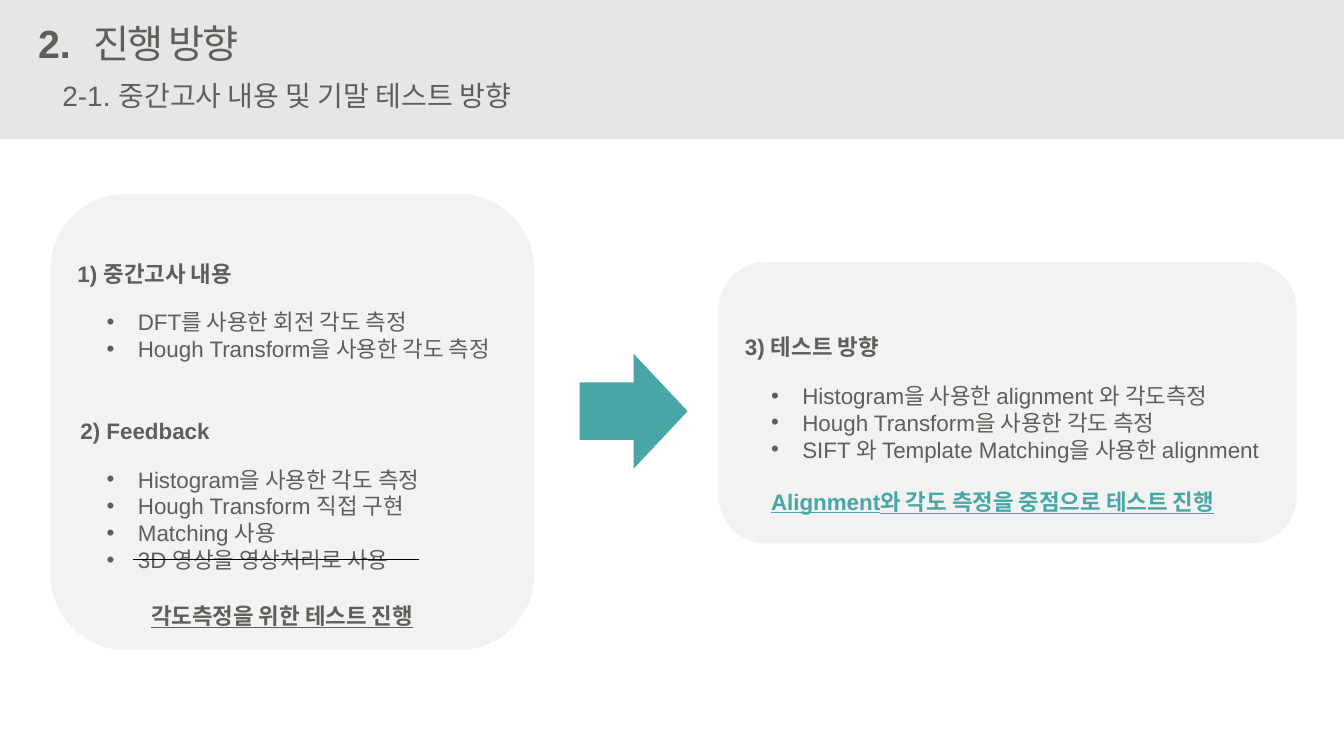
from dataclasses import dataclass

from lxml import etree
from pptx import Presentation
from pptx.dml.color import RGBColor
from pptx.enum.shapes import MSO_CONNECTOR, MSO_SHAPE
from pptx.enum.text import MSO_AUTO_SIZE, PP_ALIGN
from pptx.oxml.ns import qn
from pptx.util import Inches, Pt

RECT = MSO_SHAPE.RECTANGLE
ROUNDED = MSO_SHAPE.ROUNDED_RECTANGLE
ARROW = MSO_SHAPE.RIGHT_ARROW
STRAIGHT = MSO_CONNECTOR.STRAIGHT
LEFT, RIGHT = PP_ALIGN.LEFT, PP_ALIGN.RIGHT
GROW = MSO_AUTO_SIZE.SHAPE_TO_FIT_TEXT

LATIN, KOREAN = "Arial", "Noto Sans CJK KR"
GRAY, TEAL, PANEL, BAND, BLACK = "5F5E58", "49A6A6", "F2F2F2", "E7E6E6", "000000"
INDENT = Inches(0.31)


@dataclass
class Block:
    """A filled shape."""
    kind: int
    x: float
    y: float
    w: float
    h: float
    fill: str


@dataclass
class Label:
    """A text box with one paragraph per line."""
    x: float
    y: float
    w: float
    h: float
    lines: list[str]
    size: int = 16
    font: str = LATIN
    color: str = GRAY
    bold: bool = False
    underline: bool = False
    bullets: bool = False
    align: int = LEFT
    spacing: int = 0


BLOCKS = [
    Block(ROUNDED, 7.13, 2.6, 5.73, 2.79, PANEL),
    Block(ROUNDED, 0.5, 1.92, 4.8, 4.53, PANEL),
    Block(RECT, 0, 0, 13.33, 1.38, BAND),
    Block(ARROW, 5.75, 3.51, 1.07, 1.14, TEAL),
]

LABELS = [
    # Title band
    Label(0.27, 0.14, 0.53, 0.57, ["2."], size=28, bold=True, align=RIGHT),
    Label(0.83, 0.14, 1.8, 0.57, ["진행 방향"], size=28, font=KOREAN, spacing=-150),
    Label(0.52, 0.73, 5.07, 0.44, ["2-1. 중간고사 내용 및 기말 테스트 방향"], size=20),
    # Left panel
    Label(0.67, 2.53, 1.85, 0.37, ["1) 중간고사 내용"], bold=True),
    Label(0.96, 3.01, 4.34, 0.64, [
        "DFT를 사용한 회전 각도 측정",
        "Hough Transform을 사용한 각도 측정",
    ], bullets=True),
    Label(0.7, 4.09, 1.5, 0.37, ["2) Feedback"], bold=True),
    Label(0.96, 4.57, 3.58, 1.18, [
        "Histogram을 사용한 각도 측정",
        "Hough Transform 직접 구현",
        "Matching 사용",
        "3D 영상을 영상처리로 사용",
    ], bullets=True),
    Label(1.4, 5.92, 3.04, 0.37, ["각도측정을 위한 테스트 진행"],
          bold=True, underline=True),
    # Right panel
    Label(7.29, 3.26, 1.63, 0.37, ["3) 테스트 방향"], bold=True),
    Label(7.55, 3.74, 5.24, 0.91, [
        "Histogram을 사용한 alignment 와 각도측정",
        "Hough Transform을 사용한 각도 측정",
        "SIFT 와 Template Matching을 사용한 alignment",
    ], bullets=True),
    Label(7.55, 4.79, 4.93, 0.37, ["Alignment와 각도 측정을 중점으로 테스트 진행"],
          color=TEAL, bold=True, underline=True),
]


def rgb(color: str) -> RGBColor:
    return RGBColor.from_string(color)


def add_block(s, block: Block) -> None:
    sp = s.shapes.add_shape(block.kind, Inches(block.x), Inches(block.y),
                            Inches(block.w), Inches(block.h))
    sp.shadow.inherit = False
    sp.fill.solid()
    sp.fill.fore_color.rgb = rgb(block.fill)
    sp.line.fill.background()


def add_bullet(p) -> None:
    pPr = p._p.get_or_add_pPr()
    pPr.set("marL", str(INDENT))
    pPr.set("indent", str(-INDENT))
    etree.SubElement(pPr, qn("a:buFont")).set("typeface", LATIN)
    etree.SubElement(pPr, qn("a:buChar")).set("char", "•")


def add_label(s, label: Label) -> None:
    sp = s.shapes.add_textbox(Inches(label.x), Inches(label.y),
                              Inches(label.w), Inches(label.h))
    tf = sp.text_frame
    tf.word_wrap = True
    tf.auto_size = GROW
    for i, line in enumerate(label.lines):
        p = tf.add_paragraph() if i else tf.paragraphs[0]
        p.alignment = label.align
        if label.bullets:
            add_bullet(p)
        r = p.add_run()
        r.text = line
        r.font.size = Pt(label.size)
        r.font.name = label.font
        r.font.bold = label.bold
        r.font.underline = label.underline
        r.font.color.rgb = rgb(label.color)
        rPr = r._r.get_or_add_rPr()
        etree.SubElement(rPr, qn("a:ea")).set("typeface", KOREAN)
        if label.spacing:
            rPr.set("spc", str(label.spacing))


def add_line(s, x1: float, x2: float, y: float) -> None:
    line = s.shapes.add_connector(STRAIGHT, Inches(x1), Inches(y),
                                  Inches(x2), Inches(y))
    line.line.color.rgb = rgb(BLACK)
    line.line.width = Pt(0.5)
    etree.SubElement(line._element.spPr, qn("a:effectLst"))


def main() -> None:
    prs = Presentation()
    prs.slide_width, prs.slide_height = Inches(13.33), Inches(7.5)
    s = prs.slides.add_slide(prs.slide_layouts[6])
    for block in BLOCKS:
        add_block(s, block)
    for label in LABELS:
        add_label(s, label)
    # Strike out the dropped 3D item
    add_line(s, 4.16, 1.32, 5.55)
    prs.save("out.pptx")


if __name__ == "__main__":
    main()
